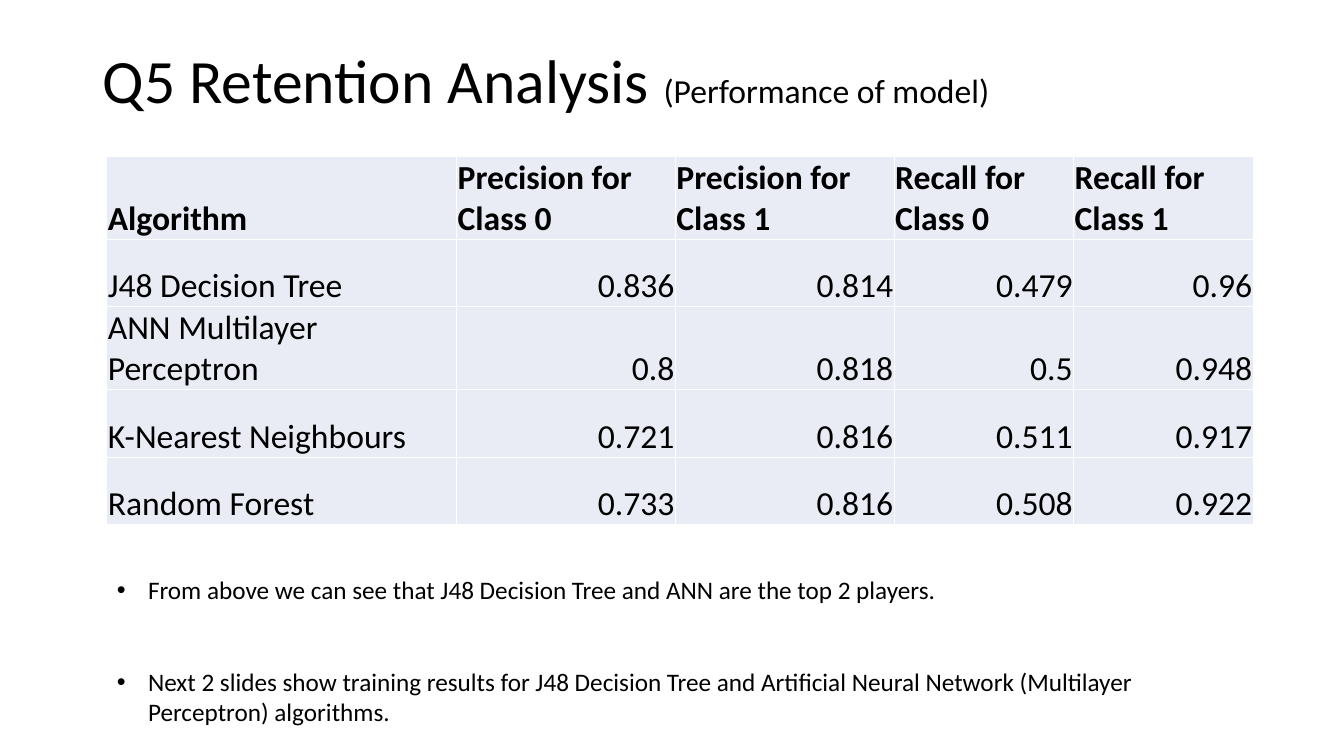
from dataclasses import dataclass

from lxml import etree
from pptx import Presentation
from pptx.dml.color import RGBColor
from pptx.enum import text
from pptx.oxml import ns
from pptx.util import Inches, Pt


@dataclass(frozen=True)
class Theme:
    font: str = "Calibri"
    ink: RGBColor = RGBColor(0, 0, 0)
    cell: RGBColor = RGBColor(0xE9, 0xEB, 0xF5)
    border: str = "FFFFFF"
    title: int = 44
    subtitle: int = 24
    table: int = 24
    body: int = 18


THEME = Theme()

COLUMN_WIDTHS = [3.47, 2.17, 2.17, 1.78, 1.78]
RESULTS = [
    ["Algorithm", "Precision for Class 0", "Precision for Class 1",
     "Recall for Class 0", "Recall for Class 1"],
    ["J48 Decision Tree", "0.836", "0.814", "0.479", "0.96"],
    ["ANN Multilayer Perceptron", "0.8", "0.818", "0.5", "0.948"],
    ["K-Nearest Neighbours", "0.721", "0.816", "0.511", "0.917"],
    ["Random Forest", "0.733", "0.816", "0.508", "0.922"],
]
FINDINGS = [
    "From above we can see that J48 Decision Tree and ANN are the top 2 players.",
    "Next 2 slides show training results for J48 Decision Tree and "
    "Artificial Neural Network (Multilayer Perceptron) algorithms.",
]


def style_run(r, size, bold=False):
    r.font.name = THEME.font
    r.font.size = Pt(size)
    r.font.bold = bold
    r.font.color.rgb = THEME.ink


def fill_title(s, left, top, width, height):
    sp = s.shapes.title
    sp.left, sp.top = Inches(left), Inches(top)
    sp.width, sp.height = Inches(width), Inches(height)
    tf = sp.text_frame
    tf.auto_size = text.MSO_AUTO_SIZE.NONE
    tf.vertical_anchor = text.MSO_ANCHOR.MIDDLE
    p = tf.paragraphs[0]
    p.alignment = text.PP_ALIGN.LEFT
    p.line_spacing = 0.9
    for wording, size in [("Q5 Retention Analysis ", THEME.title),
                          ("(Performance of model)", THEME.subtitle)]:
        r = p.add_run()
        r.text = wording
        style_run(r, size)


def add_borders(cell):
    tc_pr = cell._tc.get_or_add_tcPr()
    for side in ("a:lnL", "a:lnR", "a:lnT", "a:lnB"):
        ln = etree.SubElement(tc_pr, ns.qn(side), w=str(Pt(1)))
        fill = etree.SubElement(ln, ns.qn("a:solidFill"))
        etree.SubElement(fill, ns.qn("a:srgbClr"), val=THEME.border)


def format_cell(cell, wording, header, numeric):
    cell.text = wording
    cell.margin_left = cell.margin_right = cell.margin_top = Inches(0.01)
    cell.margin_bottom = 0
    cell.vertical_anchor = text.MSO_ANCHOR.BOTTOM
    add_borders(cell)
    cell.fill.solid()
    cell.fill.fore_color.rgb = THEME.cell
    p = cell.text_frame.paragraphs[0]
    p.alignment = text.PP_ALIGN.RIGHT if numeric else text.PP_ALIGN.LEFT
    style_run(p.runs[0], THEME.table, bold=header)


def add_results_table(s, left, top, width, height):
    table = s.shapes.add_table(len(RESULTS), len(COLUMN_WIDTHS), Inches(left),
                               Inches(top), Inches(width), Inches(height)).table
    table.first_row = table.horz_banding = False
    for column, column_width in zip(table.columns, COLUMN_WIDTHS):
        column.width = Inches(column_width)
    for i, row in enumerate(RESULTS):
        for j, wording in enumerate(row):
            format_cell(table.cell(i, j), wording, header=i == 0,
                        numeric=i > 0 and j > 0)


def add_bullet(p, indent):
    p_pr = p._p.get_or_add_pPr()
    p_pr.set("marL", str(Inches(indent)))
    p_pr.set("indent", str(-Inches(indent)))
    etree.SubElement(p_pr, ns.qn("a:buFont"), typeface="Arial")
    etree.SubElement(p_pr, ns.qn("a:buChar"), char="•")


def add_findings(s, left, top, width, height):
    sp = s.shapes.add_textbox(Inches(left), Inches(top), Inches(width), Inches(height))
    tf = sp.text_frame
    tf.word_wrap = True
    tf.auto_size = text.MSO_AUTO_SIZE.SHAPE_TO_FIT_TEXT
    tf.text = "\n".join(FINDINGS)
    for i, p in enumerate(tf.paragraphs):
        p.space_before = Pt(44 if i else 0)
        add_bullet(p, 0.31)
        style_run(p.runs[0], THEME.body)


def main():
    prs = Presentation()
    prs.slide_width, prs.slide_height = Inches(13.33), Inches(7.5)
    s = prs.slides.add_slide(prs.slide_layouts.get_by_name("Title Only"))
    fill_title(s, 0.92, 0.1, 11.5, 1.45)
    add_results_table(s, 1.06, 1.55, 11.37, 3.35)
    add_findings(s, 1.06, 5.65, 11.35, 1.62)
    prs.save("out.pptx")


if __name__ == "__main__":
    main()
